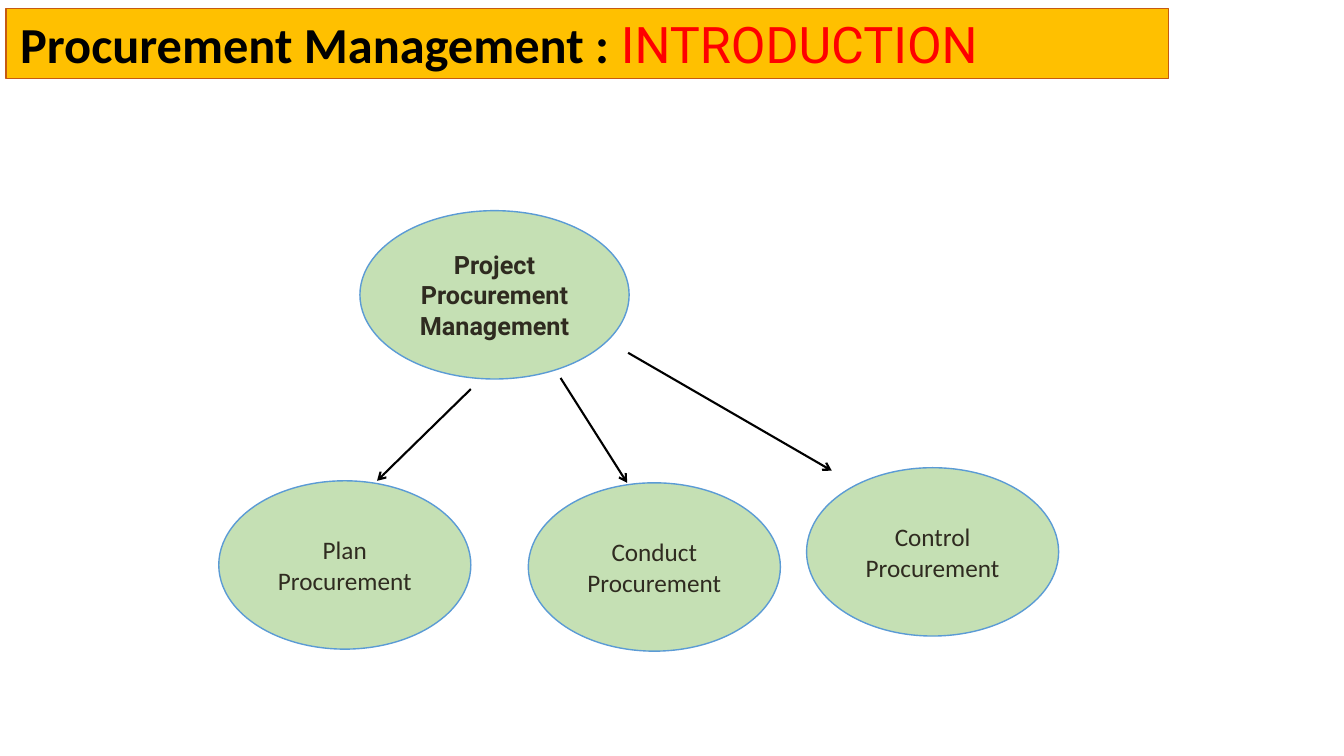
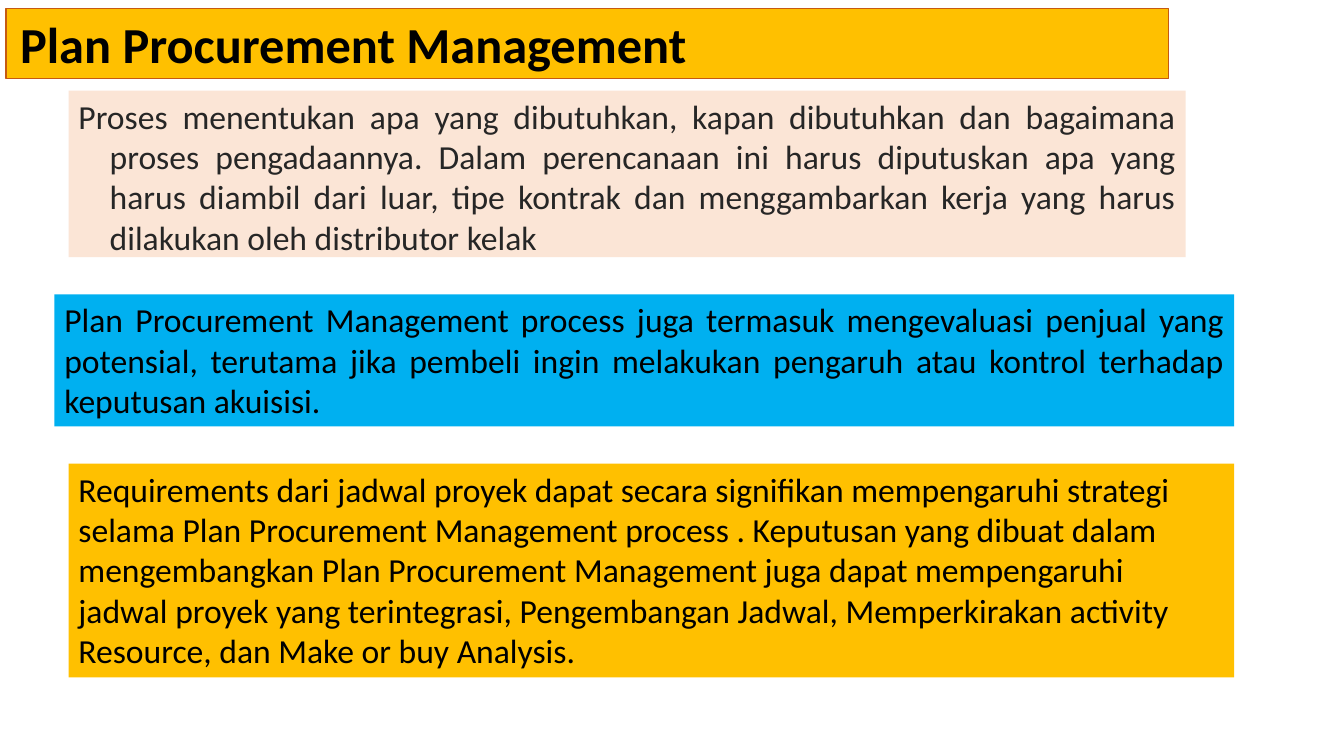
from pptx import Presentation
from pptx.dml.color import RGBColor
from pptx.enum.shapes import MSO_CONNECTOR, MSO_SHAPE
from pptx.enum.text import MSO_ANCHOR, PP_ALIGN
from pptx.oxml.ns import qn
from pptx.util import Inches, Pt
from lxml import etree

BLACK = RGBColor(0x00, 0x00, 0x00)
RED = RGBColor(0xFF, 0x00, 0x00)
GOLD = RGBColor(0xFF, 0xC0, 0x00)
RUST = RGBColor(0xC5, 0x5A, 0x11)
GREEN = RGBColor(0xC5, 0xE0, 0xB4)
BLUE = RGBColor(0x5B, 0x9B, 0xD5)
SKY = RGBColor(0x00, 0xB0, 0xF0)
PEACH = RGBColor(0xFB, 0xE5, 0xD6)
BROWN = RGBColor(0x2F, 0x2B, 0x20)
CHARCOAL = RGBColor(0x26, 0x26, 0x26)

BODY_FONT = "Calibri"
ACCENT_FONT = "Roboto"
RECTANGLE, OVAL = MSO_SHAPE.RECTANGLE, MSO_SHAPE.OVAL
STRAIGHT = MSO_CONNECTOR.STRAIGHT
TOP, MIDDLE = MSO_ANCHOR.TOP, MSO_ANCHOR.MIDDLE
LEFT, CENTER, JUSTIFY = PP_ALIGN.LEFT, PP_ALIGN.CENTER, PP_ALIGN.JUSTIFY

TITLE_BOX = (0.06, 0.08, 11.53, 0.7)
DIAGRAM_BOX = (2.17, 2.09, 8.33, 4.37)
PANELS_BOX = (0.54, 0.9, 11.7, 5.82)

ROOT = ("Project Procurement Management", 1.4, 0, 2.67)
PROCESSES = [
    ("Plan Procurement", 0, 2.68, 2.5),
    ("Conduct Procurement", 3.07, 2.7, 2.5),
    ("Control Procurement", 5.83, 2.55, 2.5),
]
OVAL_HEIGHT = 1.67
ARROWS = [
    ((2.5, 1.77), (1.57, 2.68)),
    ((3.39, 1.66), (4.05, 2.7)),
    ((4.06, 1.41), (6.08, 2.58)),
]

DEFINITION = [
    "Proses menentukan apa yang dibutuhkan, kapan dibutuhkan dan bagaimana "
    "proses pengadaannya. Dalam perencanaan ini harus diputuskan apa yang "
    "harus diambil dari luar, tipe kontrak dan menggambarkan kerja yang harus "
    "dilakukan oleh distributor kelak",
]
SELLERS = [
    "Plan Procurement Management process juga termasuk mengevaluasi penjual yang "
    "potensial, terutama jika pembeli ingin melakukan pengaruh atau kontrol "
    "terhadap keputusan akuisisi.",
]
SCHEDULE = [
    "Requirements dari jadwal proyek dapat secara signifikan mempengaruhi strategi "
    "selama Plan Procurement Management process . Keputusan yang dibuat dalam "
    "mengembangkan Plan Procurement Management juga dapat mempengaruhi",
    "jadwal proyek yang terintegrasi, Pengembangan Jadwal, Memperkirakan activity "
    "Resource, dan Make or buy Analysis.",
]
PANELS = [
    (DEFINITION, (0.14, 0, 11.08, 1.65), PEACH, CHARCOAL, JUSTIFY, 0.31),
    (SELLERS, (0, 2.02, 11.7, 1.31), SKY, BLACK, JUSTIFY, 0),
    (SCHEDULE, (0.14, 3.7, 11.56, 2.12), GOLD, BLACK, LEFT, 0),
]


def style_font(font, size, color, name=BODY_FONT, bold=False):
    """Set the look of a run."""
    font.name, font.size, font.bold = name, Pt(size), bold
    font.color.rgb = color


def add_filled_shape(slide, preset, box, fill, line, line_width):
    """Add a flat outlined shape and return it."""
    shape = slide.shapes.add_shape(preset, *map(Inches, box))
    shape.shadow.inherit = False
    shape.fill.solid()
    shape.fill.fore_color.rgb = fill
    shape.line.color.rgb = line
    shape.line.width = Pt(line_width)
    shape.text_frame.word_wrap = True
    return shape


def add_title_band(slide, box, heading, topic=""):
    """Add the gold title band with an optional red topic."""
    frame = add_filled_shape(slide, RECTANGLE, box, GOLD, RUST, 0.75).text_frame
    frame.vertical_anchor = TOP
    frame.margin_left = Inches(0.14)
    title = frame.paragraphs[0]
    title.text = heading
    title.alignment = LEFT
    style_font(title.runs[0].font, 36, BLACK, bold=True)
    if topic:
        topic_run = title.add_run()
        topic_run.text = topic
        style_font(topic_run.font, 36, RED, ACCENT_FONT)


def add_process_oval(slide, box, label, font_name=BODY_FONT, bold=False):
    """Add one green oval of the diagram."""
    frame = add_filled_shape(slide, OVAL, box, GREEN, BLUE, 1).text_frame
    frame.vertical_anchor = MIDDLE
    frame.text = label
    frame.paragraphs[0].alignment = CENTER
    style_font(frame.paragraphs[0].runs[0].font, 18, BROWN, font_name, bold)


def add_arrow(slide, start, end):
    """Add a black line with an open arrowhead at its end."""
    arrow = slide.shapes.add_connector(STRAIGHT, *map(Inches, (*start, *end)))
    arrow.line.color.rgb = BLACK
    arrow.line.width = Pt(1.5)
    etree.SubElement(arrow.line._get_or_add_ln(), qn("a:tailEnd"), type="arrow")
    etree.SubElement(arrow._element.spPr, qn("a:effectLst"))


def add_process_diagram(slide, box):
    """Place the root oval, its three processes and the arrows."""
    left, top = box[:2]
    for label, x, y, width in [ROOT, *PROCESSES]:
        is_root = label == ROOT[0]
        add_process_oval(slide, (left + x, top + y, width, OVAL_HEIGHT), label,
                         ACCENT_FONT if is_root else BODY_FONT, is_root)
    for start, end in ARROWS:
        add_arrow(slide, *((left + x, top + y) for x, y in (start, end)))


def add_panel(slide, box, texts, fill, color, alignment, hanging):
    """Add one filled text panel."""
    panel = slide.shapes.add_textbox(*map(Inches, box))
    panel.fill.solid()
    panel.fill.fore_color.rgb = fill
    frame = panel.text_frame
    frame.word_wrap = True
    frame.text = "\n".join(texts)
    for paragraph in frame.paragraphs:
        paragraph.alignment = alignment
        if hanging:
            properties = paragraph._p.get_or_add_pPr()
            properties.set("marL", str(Inches(hanging)))
            properties.set("indent", str(-Inches(hanging)))
        style_font(paragraph.runs[0].font, 24, color)


def add_panels(slide, box):
    """Place the three explanation panels."""
    left, top = box[:2]
    for texts, (x, y, width, height), *look in PANELS:
        add_panel(slide, (left + x, top + y, width, height), texts, *look)


def main():
    """Build both slides and save the deck."""
    deck = Presentation()
    deck.slide_width, deck.slide_height = Inches(13.33), Inches(7.5)
    blank = deck.slide_layouts[6]

    introduction = deck.slides.add_slide(blank)
    add_process_diagram(introduction, DIAGRAM_BOX)
    add_title_band(introduction, TITLE_BOX, "Procurement Management : ", "INTRODUCTION")

    planning = deck.slides.add_slide(blank)
    add_title_band(planning, TITLE_BOX, "Plan Procurement Management")
    add_panels(planning, PANELS_BOX)

    deck.save("out.pptx")


if __name__ == "__main__":
    main()
